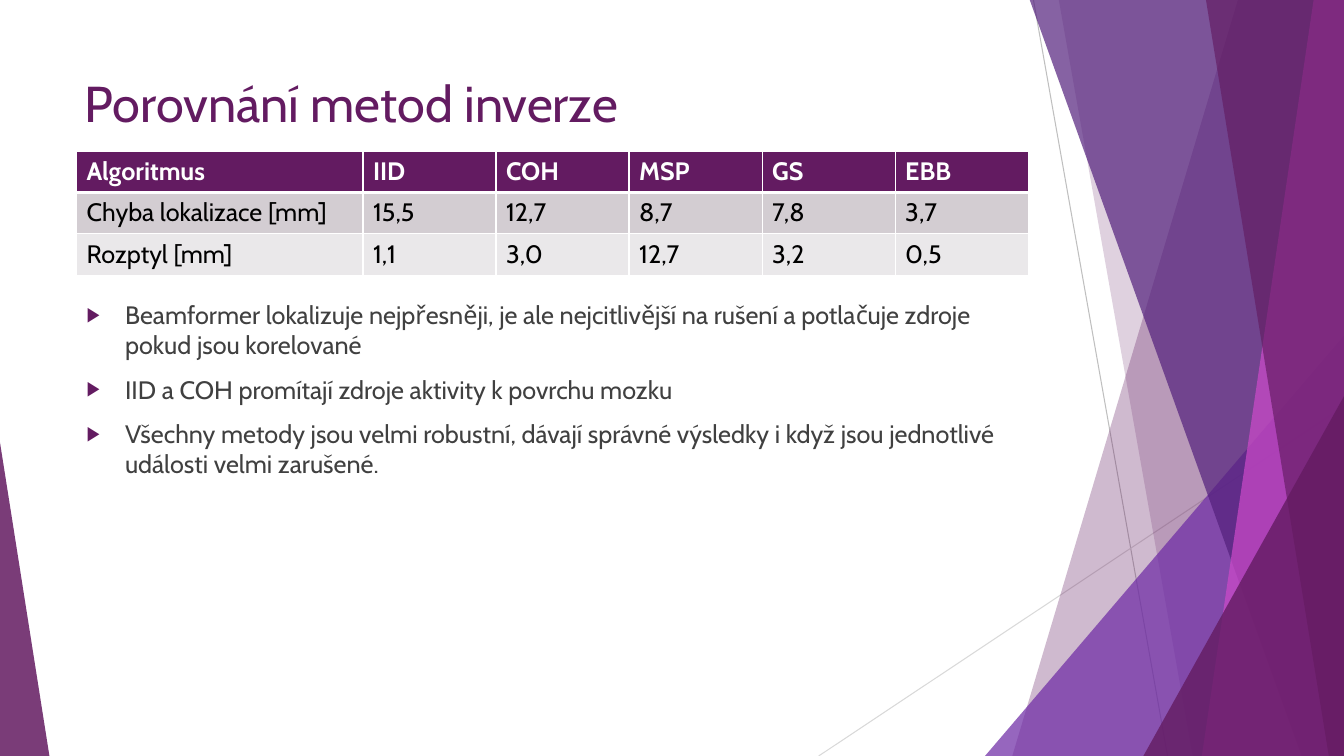
from lxml import etree
from pptx import Presentation
from pptx.dml.color import RGBColor
from pptx.enum import shapes, text
from pptx.oxml import parse_xml
from pptx.oxml import ns
from pptx.util import Inches, Pt

PLUM = RGBColor(0x63, 0x1B, 0x61)
VIOLET = RGBColor(0x6E, 0x2B, 0xA5)
INDIGO = RGBColor(0x53, 0x20, 0x7C)
MAGENTA = RGBColor(0xCE, 0x4A, 0xCA)
SILVER = RGBColor(0xBF, 0xBF, 0xBF)
PALE = RGBColor(0xD9, 0xD9, 0xD9)
CHARCOAL = RGBColor(0x40, 0x40, 0x40)
BLACK = RGBColor(0, 0, 0)
WHITE = RGBColor(0xFF, 0xFF, 0xFF)
ROW_FILLS = [PLUM, RGBColor(0xD3, 0xCD, 0xD2), RGBColor(0xEA, 0xE8, 0xEA)]

FONT = "Cabin"
W, H = 13.33, 7.5
TITLE = "Porovnání metod inverze"
ROWS = [
    ("Algoritmus", "IID", "COH", "MSP", "GS", "EBB"),
    ("Chyba lokalizace [mm]", "15,5", "12,7", "8,7", "7,8", "3,7"),
    ("Rozptyl [mm]", "1,1", "3,0", "12,7", "3,2", "0,5"),
]
BULLETS = [
    "Beamformer lokalizuje nejpřesněji, je ale nejcitlivější na rušení a potlačuje zdroje pokud jsou korelované",
    "IID a COH promítají zdroje aktivity k povrchu mozku",
    "Všechny metody jsou velmi robustní, dávají správné výsledky i když jsou jednotlivé události velmi zarušené.",
]
LINES = [((10.25, 0), (11.58, H), SILVER), ((W, 4.03), (8.12, H), PALE)]
# kind, geometry, colour, opacity
DECOR = [
    ("band", (12.28, 10.04), PLUM, 30),
    ("band", (10.5, 11.83), PLUM, 20),
    ("triangle", (9.77, 3.33, 3.56, 1), VIOLET, 72),
    ("band", (10.21, 12.91), INDIGO, 70),
    ("band", (13.03, 11.92), MAGENTA, 70),
    ("band", (11.96, 13.18), PLUM, 65),
    ("triangle", (11.34, 3.93, 1.99, 1), PLUM, 80),
    ("triangle", (0, 4.39, 0.49, 0), PLUM, 85),
]


def add_line(s, start, end, color):
    c = s.shapes.add_connector(shapes.MSO_CONNECTOR.STRAIGHT,
                               *[Inches(v) for v in start + end])
    c.line.color.rgb = color
    c.line.width = Pt(0.75)
    etree.SubElement(c._element.spPr, ns.qn("a:effectLst"))


def add_decor(s, kind, geometry, color, opacity):
    if kind == "band":
        top_x, bottom_x = geometry
        points = [(top_x, -0.01), (W, -0.01), (W, H), (bottom_x, H)]
        points = [(Inches(x), Inches(y)) for x, y in points]
        fb = s.shapes.build_freeform(*points[0])
        fb.add_line_segments(points[1:], close=True)
        sp = fb.convert_to_shape()
    else:
        left, top, width, apex = geometry
        sp = s.shapes.add_shape(shapes.MSO_SHAPE.ISOSCELES_TRIANGLE, Inches(left),
                                Inches(top), Inches(width), Inches(H - top))
        sp.adjustments[0] = apex
    sp.shadow.inherit = False
    sp.line.fill.background()
    sp.fill.solid()
    sp.fill.fore_color.rgb = color
    clr = sp._element.spPr.find(".//" + ns.qn("a:srgbClr"))
    etree.SubElement(clr, ns.qn("a:alpha"), val=str(opacity * 1000))


def add_run(p, words, size, color, bold=False):
    r = p.add_run()
    r.text = words
    r.font.name = FONT
    r.font.size = Pt(size)
    r.font.color.rgb = color
    r.font.bold = bold


def place(sp, left, top, width, height):
    sp.left, sp.top, sp.width, sp.height = [Inches(v) for v in (left, top, width, height)]
    sp._element.getparent().append(sp._element)
    tf = sp.text_frame
    tf.word_wrap = True
    tf.auto_size = text.MSO_AUTO_SIZE.NONE
    tf.vertical_anchor = text.MSO_ANCHOR.TOP
    return tf


def add_bullet(p):
    pPr = p._p.get_or_add_pPr()
    pPr.set("marL", str(Inches(0.38)))
    pPr.set("indent", str(-Inches(0.38)))
    clr = etree.SubElement(pPr, ns.qn("a:buClr"))
    etree.SubElement(clr, ns.qn("a:srgbClr"), val=str(PLUM))
    etree.SubElement(pPr, ns.qn("a:buSzPct"), val="80000")
    etree.SubElement(pPr, ns.qn("a:buFont"), typeface="Arial")
    etree.SubElement(pPr, ns.qn("a:buChar"), char="▶")


def add_borders(cell, top, bottom):
    tcPr = cell._tc.get_or_add_tcPr()
    for side, width in (("L", 1), ("R", 1), ("T", top), ("B", bottom)):
        tcPr.append(parse_xml(
            f'<a:ln{side} {ns.nsdecls("a")} w="{Pt(width)}"><a:solidFill>'
            f'<a:srgbClr val="{WHITE}"/></a:solidFill></a:ln{side}>'))


def add_results(s):
    widths = [2.84] + [1.32] * 5
    table = s.shapes.add_table(len(ROWS), len(widths), Inches(0.76), Inches(1.5),
                               Inches(sum(widths)), Inches(1.22)).table
    for column, width in zip(table.columns, widths):
        column.width = Inches(width)
    for i, row in enumerate(ROWS):
        table.rows[i].height = Inches(0.41)
        for j, words in enumerate(row):
            cell = table.cell(i, j)
            add_borders(cell, 3 if i == 1 else 1, 3 if i == 0 else 1)
            cell.fill.solid()
            cell.fill.fore_color.rgb = ROW_FILLS[i]
            add_run(cell.text_frame.paragraphs[0], words, 18,
                    BLACK if i else WHITE, i == 0)


def main():
    prs = Presentation()
    prs.slide_width, prs.slide_height = Inches(W), Inches(H)
    s = prs.slides.add_slide(prs.slide_layouts[1])
    for line in LINES:
        add_line(s, *line)
    for decor in DECOR:
        add_decor(s, *decor)

    title, body = s.shapes.title, s.placeholders[1]
    p = place(title, 0.74, 0.67, 9.4, 1.44).paragraphs[0]
    p.alignment = text.PP_ALIGN.LEFT
    add_run(p, TITLE, 36, PLUM)

    tf = place(body, 0.76, 2.92, 9.4, 3.53)
    for i, words in enumerate(BULLETS):
        p = tf.add_paragraph() if i else tf.paragraphs[0]
        add_bullet(p)
        p.space_before = Pt(10 if i else 0)
        add_run(p, words, 18, CHARCOAL)

    add_results(s)
    prs.save("out.pptx")


if __name__ == "__main__":
    main()
